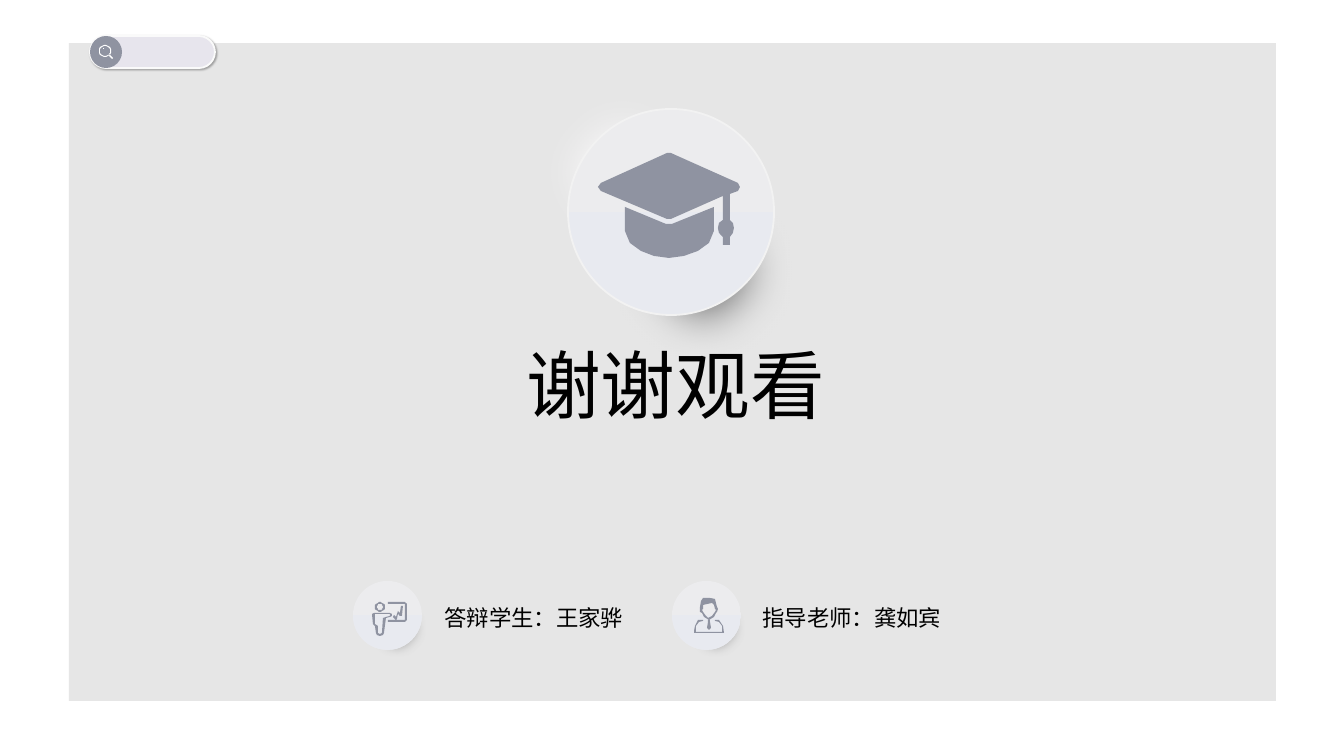
"""Build the closing thank-you slide with a graduation cap and two name badges."""
import math

import lxml.etree
import pptx
import pptx.dml.color
import pptx.enum.shapes
import pptx.enum.text
import pptx.oxml.ns
import pptx.util

PX = 914400 / 134.4
FONT = "Noto Sans CJK SC"
HUES = {
    "panel": "E6E6E6", "ink": "000000", "icon": "8F93A1", "glow": "FFFEFF",
    "shade": "595959", "top": "ECECEE", "base": "E8EAF0", "rim": "F2F2F2",
    "pill": "E7E5ED", "edge": "FAFAFA", "white": "FFFFFF",
}
RGB = {key: pptx.dml.color.RGBColor.from_string(hue) for key, hue in HUES.items()}
KIND = pptx.enum.shapes.MSO_SHAPE
qn = pptx.oxml.ns.qn


def place(host, kind, box, hue):
    shape = host.shapes.add_shape(kind, *[round(n * PX) for n in box])
    shape.shadow.inherit = False
    shape.fill.solid()
    shape.fill.fore_color.rgb = RGB[hue]
    shape.line.fill.background()
    return shape


def trace(host, loops, hue):
    pen = host.shapes.build_freeform(*loops[0][0], scale=PX)
    for loop in loops:
        pen.move_to(*loop[0])
        pen.add_line_segments(loop[1:], close=True)
    shape = pen.convert_to_shape()
    shape.shadow.inherit = False
    shape.fill.solid()
    shape.fill.fore_color.rgb = RGB[hue]
    shape.line.fill.background()


turns = [math.radians(a) for a in range(0, 360, 20)]
rings = [
    [[(x + r * math.cos(a), y + r * math.sin(a)) for a in turns] for r in pair]
    for x, y, pair in [(380, 607, (5, 3)), (105, 51, (6, 5))]
]
head, lens = rings

speaker = [
    *head,
    [(388, 602), (405, 602), (407, 604), (407, 620), (405, 622), (388, 622),
     (388, 620), (405, 620), (405, 604), (388, 604)],
    [(374, 613), (390, 613), (392, 614), (392, 616), (390, 617), (386, 618),
     (384, 633), (383, 635), (380, 636), (377, 635), (376, 633), (375, 626),
     (373, 624), (372, 614)],
    [(375, 614), (390, 614), (390, 616), (386, 617), (383, 618), (382, 633),
     (380, 634), (378, 633), (378, 626), (375, 624)],
    [(396, 620), (393, 617), (394, 615), (396, 617), (398, 611), (400, 613),
     (401, 606), (403, 606), (402, 616), (400, 616), (398, 614), (397, 619)],
]
tutor = [
    [(694, 633), (694, 631), (695, 626), (698, 620), (703, 620), (703, 621),
     (699, 622), (696, 626), (696, 632), (722, 632), (722, 626), (719, 622),
     (715, 621), (715, 620), (719, 620), (723, 626), (724, 633)],
    [(709, 630), (707, 628), (708, 622), (708, 620), (710, 620), (710, 622),
     (711, 628)],
    [(702, 613), (700, 612), (700, 607), (701, 601), (703, 598), (710, 598),
     (715, 599), (716, 603), (717, 607), (718, 609), (717, 612), (716, 613),
     (714, 617), (709, 620), (704, 617)],
    [(703, 609), (703, 605), (712, 603), (714, 605), (715, 609), (716, 610),
     (715, 612), (712, 616), (708, 618), (706, 616), (703, 612), (702, 610)],
]
cap = [
    [(671, 153), (738, 183), (740, 187), (738, 191), (730, 194), (730, 220),
     (733, 223), (734, 228), (733, 233), (730, 237), (730, 245), (723, 245),
     (723, 237), (719, 233), (718, 228), (719, 223), (723, 220), (723, 196),
     (671, 219), (667, 219), (601, 191), (598, 187), (601, 183), (667, 153)],
    [(625, 207), (666, 224), (672, 224), (714, 207), (714, 231), (709, 243),
     (698, 251), (684, 256), (669, 258), (654, 256), (641, 251), (630, 243),
     (625, 231)],
]

deck = pptx.Presentation()
deck.slide_width = round(1344 * PX)
deck.slide_height = round(756 * PX)
slide = deck.slides.add_slide(deck.slide_layouts[6])
place(slide, KIND.RECTANGLE, (69, 43, 1207, 658), "panel")

medals = [
    (69, 8, [(349, 577), (363, 594), (353, 581)], speaker),
    (69, 8, [(668, 577), (682, 594), (672, 581)], tutor),
    (206, 25, [(520, 70), (601, 168), (568, 109)], cap),
]
for size, blur, spots, icon in medals:
    group = slide.shapes.add_group_shape()
    for spot, hue in zip(spots, ("glow", "shade", "top")):
        disc = place(group, KIND.OVAL, (*spot, size, size), hue)
        if hue != "top":
            glow = disc._element.spPr.find(qn("a:effectLst"))
            soft = lxml.etree.SubElement(glow, qn("a:softEdge"))
            soft.set("rad", str(pptx.util.Pt(blur)))
    disc.fill.gradient()
    disc.fill.gradient_angle = 270
    for stop, hue in zip(disc.fill.gradient_stops, ("top", "base")):
        stop.color.rgb = RGB[hue]
    if icon is cap:
        disc.line.color.rgb = RGB["rim"]
        disc.line.width = pptx.util.Pt(1)
    trace(group, icon, "icon")

search = slide.shapes.add_group_shape()
pill = place(search, KIND.ROUNDED_RECTANGLE, (90, 36, 125, 32), "pill")
pill.adjustments[0] = 0.5
pill.line.color.rgb = RGB["edge"]
pill.line.width = pptx.util.Pt(1)
cast = lxml.etree.SubElement(
    pill._element.spPr.find(qn("a:effectLst")), qn("a:outerShdw"),
    blurRad="12700", dist="9525", dir="2700000")
tint = lxml.etree.SubElement(cast, qn("a:srgbClr"), val=HUES["shade"])
lxml.etree.SubElement(tint, qn("a:alpha"), val="50000")
place(search, KIND.OVAL, (90, 36, 32, 32), "icon")
place(search, KIND.OVAL, (103, 48, 1, 1), "white")
grip = [(109, 54), (113, 58), (112, 59), (108, 55)]
trace(search, [*lens, grip], "white")

texts = [
    ((413, 598, 242, 40), "答辩学生：王家骅", 12, True),
    ((511, 332, 329, 103), "谢谢观看", 40, False),
    ((731, 598, 242, 40), "指导老师：龚如宾", 12, True),
]
for box, words, size, wrap in texts:
    frame = slide.shapes.add_textbox(*[round(n * PX) for n in box]).text_frame
    frame.word_wrap = wrap
    frame.auto_size = pptx.enum.text.MSO_AUTO_SIZE.SHAPE_TO_FIT_TEXT
    line = frame.paragraphs[0]
    line.alignment = pptx.enum.text.PP_ALIGN.CENTER
    run = line.add_run()
    run.text = words
    run.font.size = pptx.util.Pt(size)
    run.font.color.rgb = RGB["ink"]
    run.font.name = FONT
    lxml.etree.SubElement(run.font._element, qn("a:ea"), typeface=FONT)

deck.save("out.pptx")
